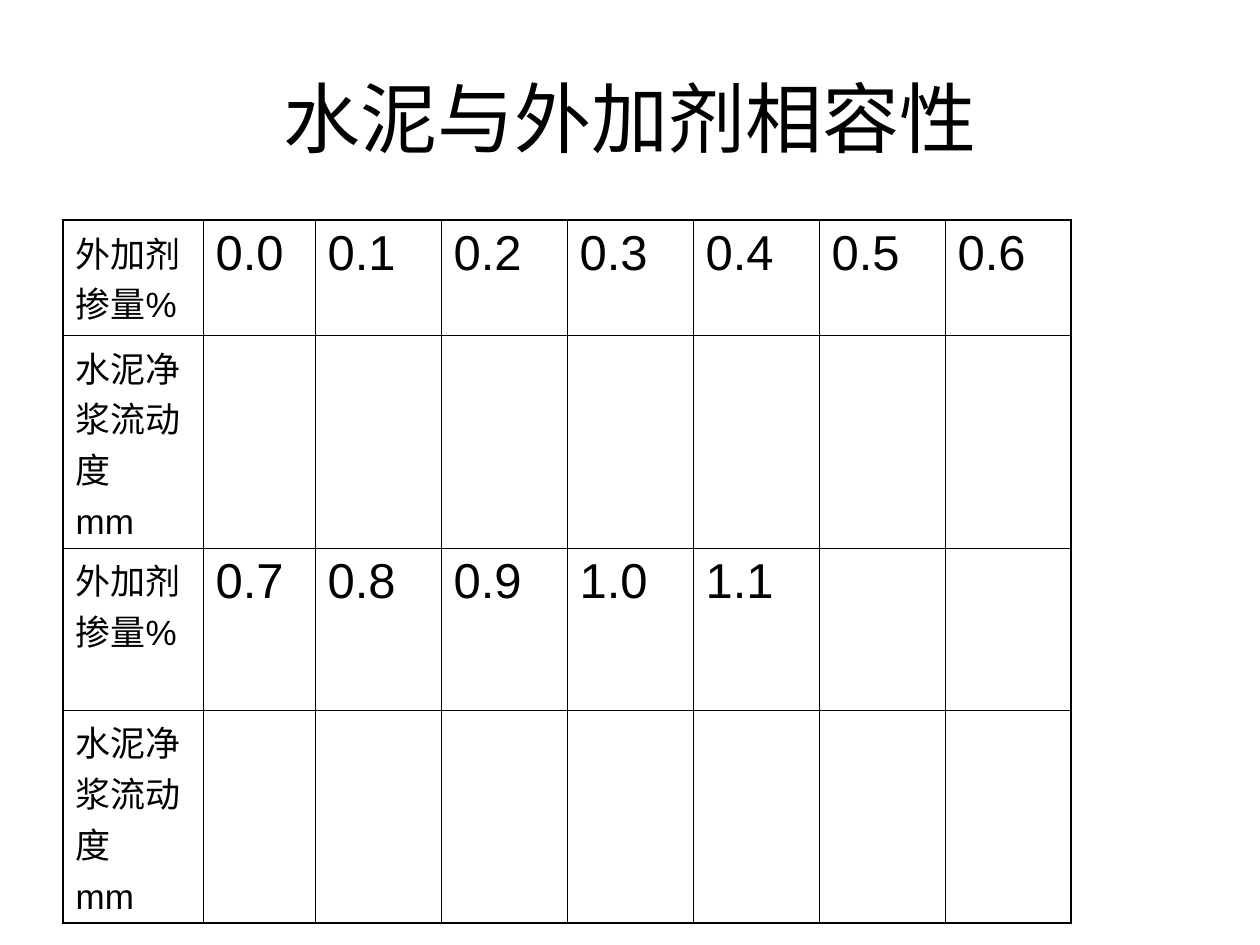
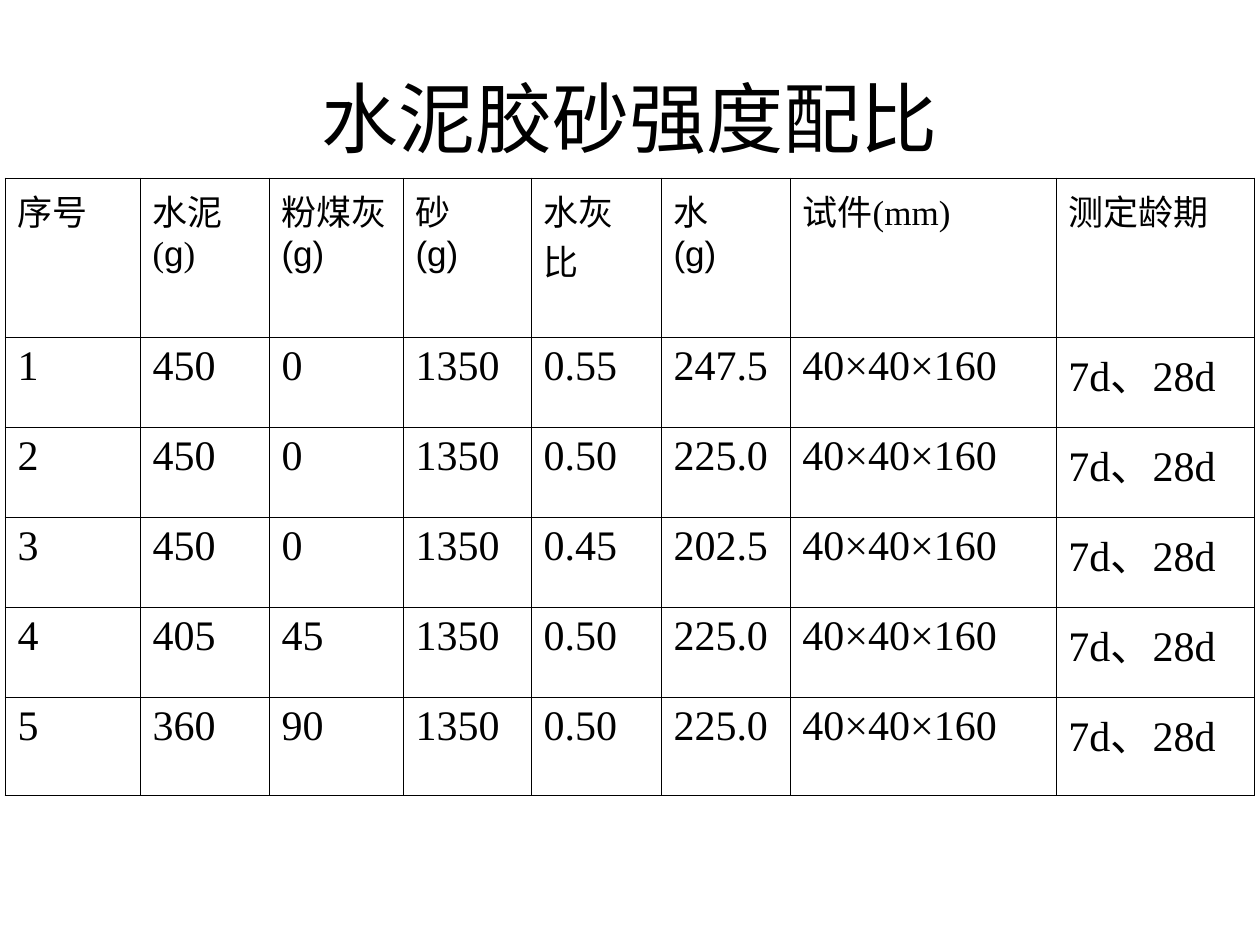
from dataclasses import dataclass

from lxml.etree import SubElement
from pptx import Presentation
from pptx.dml.color import RGBColor
from pptx.enum.text import MSO_ANCHOR, MSO_AUTO_SIZE, PP_ALIGN
from pptx.oxml.ns import qn
from pptx.util import Emu, Pt

PIXELS_PER_INCH = 126
TITLE_ONLY = 5


def px(length):
    return Emu(round(length * 914400 / PIXELS_PER_INCH))


@dataclass(frozen=True)
class Theme:
    ink: str = "000000"
    sans: str = "Arial"
    serif: str = "Times New Roman"
    title_size: int = 44
    dose_size: int = 28
    value_size: int = 24
    label_size: int = 20
    thin: float = 0.45
    thick: float = 1.08


@dataclass(frozen=True)
class Line:
    text: str
    size: int
    font: str
    space_before: int = 0
    run_fonts: tuple = ()


class Deck:
    def __init__(self, theme):
        self.theme = theme
        self.presentation = Presentation()
        self.presentation.slide_width = px(1260)
        self.presentation.slide_height = px(945)
        self.slide = None

    def add_slide(self, title):
        layout = self.presentation.slide_layouts[TITLE_ONLY]
        self.slide = self.presentation.slides.add_slide(layout)
        shape = self.slide.shapes.title
        shape.left, shape.top, shape.width, shape.height = map(px, (63, 38, 1134, 158))
        frame = shape.text_frame
        frame.auto_size = MSO_AUTO_SIZE.NONE
        frame.vertical_anchor = MSO_ANCHOR.MIDDLE
        self.fill_text(frame, [Line(title, self.theme.title_size, self.theme.sans)])
        frame.paragraphs[0].alignment = PP_ALIGN.CENTER

    def fill_text(self, frame, lines):
        for index, line in enumerate(lines):
            paragraph = frame.add_paragraph() if index else frame.paragraphs[0]
            if line.space_before:
                paragraph.space_before = Pt(line.space_before)
            paragraph.font.size = Pt(line.size)
            paragraph.font.color.rgb = RGBColor.from_string(self.theme.ink)
            if line.run_fonts:
                for character, font in zip(line.text, line.run_fonts):
                    run = paragraph.add_run()
                    run.text = character
                    run.font.name = font
            else:
                paragraph.add_run().text = line.text
                paragraph.font.name = line.font

    def border(self, cell, side, width):
        properties = cell._tc.get_or_add_tcPr()
        line = SubElement(properties, qn(f"a:ln{side}"), w=str(Pt(width)))
        fill = SubElement(line, qn("a:solidFill"))
        SubElement(fill, qn("a:srgbClr"), val=self.theme.ink)

    def table(self, left, top, columns, rows, content, frame_width):
        shape = self.slide.shapes.add_table(
            len(rows), len(columns), px(left), px(top), px(sum(columns)), px(sum(rows))
        )
        table = shape.table
        table.first_row = False
        table.horz_banding = False
        for column, width in zip(table.columns, columns):
            column.width = px(width)
        for row, height in zip(table.rows, rows):
            row.height = px(height)
        last_row, last_column = len(rows) - 1, len(columns) - 1
        for row_index, row_content in enumerate(content):
            for column_index, lines in enumerate(row_content):
                cell = table.cell(row_index, column_index)
                self.fill_text(cell.text_frame, lines)
                outer_sides = {
                    "L": column_index == 0,
                    "R": column_index == last_column,
                    "T": row_index == 0,
                    "B": row_index == last_row,
                }
                for side, outer in outer_sides.items():
                    self.border(cell, side, frame_width if outer else self.theme.thin)
                cell.fill.background()


def add_compatibility_slide(deck):
    theme = deck.theme
    dose_count = 7

    def label(text, space_before=0):
        return Line(text, theme.label_size, theme.sans, space_before)

    def dose_row(doses):
        cells = [[Line(dose, theme.dose_size, theme.sans)] for dose in doses]
        return [[label("外加剂掺量%")]] + cells + [[]] * (dose_count - len(cells))

    flow_row = [[label("水泥净浆流动度"), label("mm", 5)]] + [[]] * dose_count
    doses = [f"{tenths / 10:.1f}" for tenths in range(12)]
    content = [
        dose_row(doses[:dose_count]),
        flow_row,
        dose_row(doses[dose_count:]),
        flow_row,
    ]
    deck.add_slide("水泥与外加剂相容性")
    deck.table(
        63, 220, [140, 112] + [126] * 6, [115, 213, 162, 213], content, theme.thick
    )


def add_mix_slide(deck):
    theme = deck.theme

    def header(text, font=theme.serif, run_fonts=()):
        return Line(text, theme.label_size, font, run_fonts=run_fonts)

    gram = header("(g)", theme.sans)
    mixed_gram = header("(g)", run_fonts=(theme.serif, theme.sans, theme.serif))
    headers = [
        [header("序号")],
        [header("水泥"), mixed_gram],
        [header("粉煤灰"), gram],
        [header("砂"), gram],
        [header("水灰比")],
        [header("水"), gram],
        [header("试件(mm)")],
        [header("测定龄期")],
    ]
    mixes = [
        ("450", "0", "0.55", "247.5"),
        ("450", "0", "0.50", "225.0"),
        ("450", "0", "0.45", "202.5"),
        ("405", "45", "0.50", "225.0"),
        ("360", "90", "0.50", "225.0"),
    ]
    content = [headers]
    for number, (cement, fly_ash, ratio, water) in enumerate(mixes, 1):
        values = (
            str(number), cement, fly_ash, "1350", ratio, water, "40×40×160", "7d、28d"
        )
        content.append([[Line(value, theme.value_size, theme.serif)] for value in values])
    deck.add_slide("水泥胶砂强度配比")
    deck.table(
        5,
        178,
        [135, 129, 134, 128, 130, 129, 266, 199],
        [159] + [90] * 4 + [98],
        content,
        theme.thin,
    )


def main():
    deck = Deck(Theme())
    add_compatibility_slide(deck)
    add_mix_slide(deck)
    deck.presentation.save("out.pptx")


if __name__ == "__main__":
    main()
